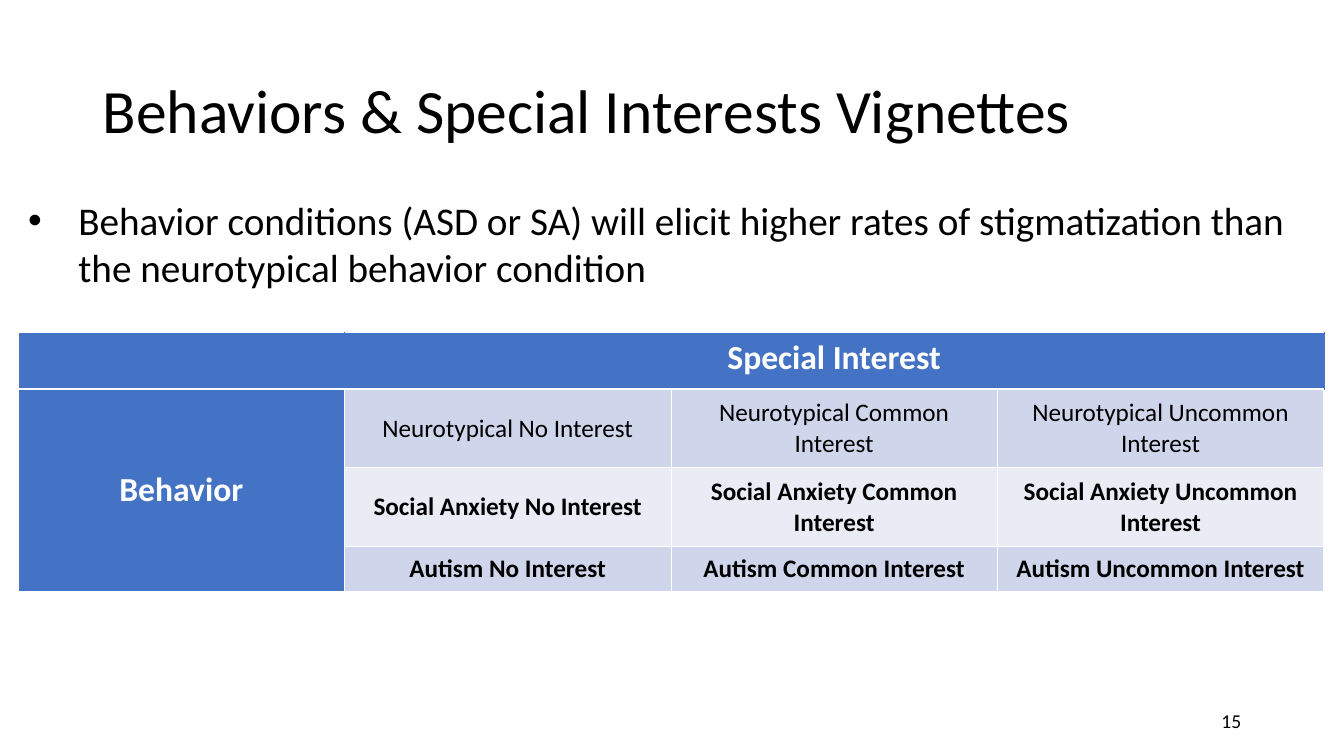
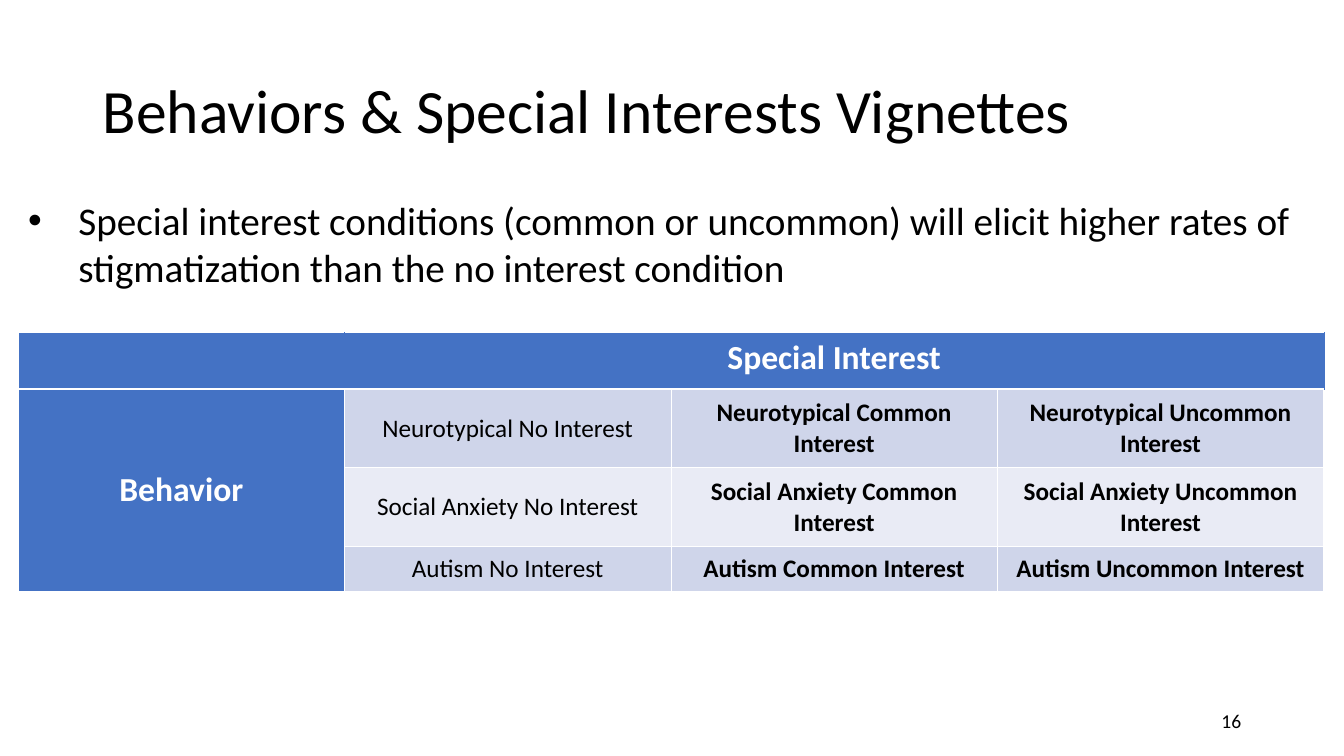
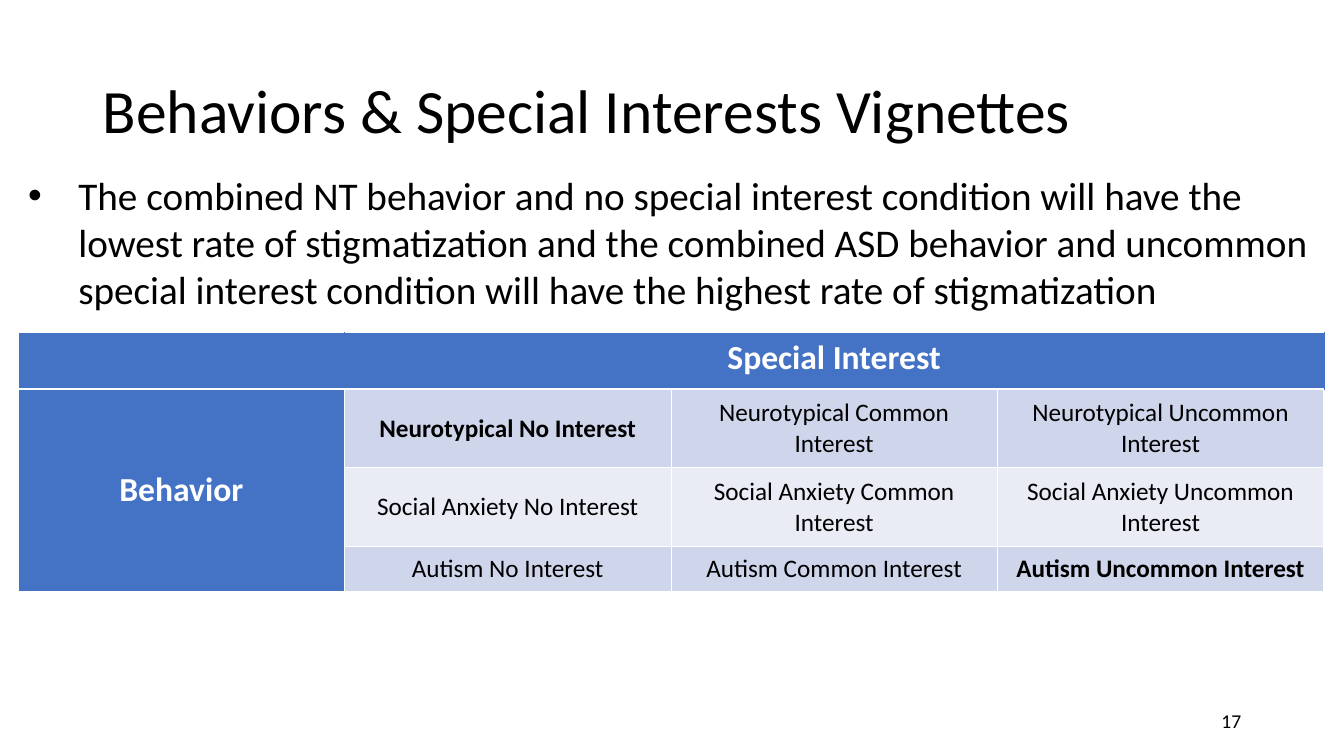
from lxml.etree import SubElement
from pptx import Presentation
from pptx.dml.color import RGBColor
from pptx.enum.text import MSO_ANCHOR as Anchor, MSO_AUTO_SIZE as AutoSize, PP_ALIGN as Align
from pptx.oxml.ns import qn
from pptx.util import Inches, Pt

COLORS = {
    "text": "000000",
    "white": "FFFFFF",
    "header": "4472C4",
    "band_dark": "CFD5EA",
    "band_light": "E9EBF5",
}
FONT = "Calibri"
TITLE = "Behaviors & Special Interests Vignettes"
FIRST_PAGE = 15
BEHAVIORS = ["Neurotypical", "Social Anxiety", "Autism"]
INTERESTS = ["No Interest", "Common Interest", "Uncommon Interest"]
ROW_HEIGHTS = [0.56, 0.78, 0.78, 0.45]
COLUMN_WIDTH = 3.24
LEFT = 0.18
THIN, THICK, SEAM = 0.45, 1.47, 0.11

HYPOTHESES = [
    (
        "Behavior conditions (ASD or SA) will elicit higher rates of stigmatization "
        "than the neurotypical behavior condition",
        1.9,
        1.04,
        lambda behavior, interest: behavior != "Neurotypical",
    ),
    (
        "Special interest conditions (common or uncommon) will elicit higher rates of "
        "stigmatization than the no interest condition",
        1.9,
        1.04,
        lambda behavior, interest: interest != "No Interest",
    ),
    (
        "The combined NT behavior and no special interest condition will have the lowest "
        "rate of stigmatization and the combined ASD behavior and uncommon special "
        "interest condition will have the highest rate of stigmatization",
        1.65,
        1.5,
        lambda behavior, interest: (behavior, interest)
        in [("Neurotypical", "No Interest"), ("Autism", "Uncommon Interest")],
    ),
]


class VignetteDeck:
    def __init__(self):
        self.deck = Presentation()
        self.deck.slide_width = Inches(13.34)
        self.deck.slide_height = Inches(7.5)
        self.page = None

    def add_page(self, title):
        self.page = self.deck.slides.add_slide(self.deck.slide_layouts[5])
        box = self.page.shapes.title
        box.left, box.top = Inches(0.92), Inches(0.4)
        box.width, box.height = Inches(11.5), Inches(1.45)
        frame = box.text_frame
        frame.vertical_anchor = Anchor.MIDDLE
        frame.auto_size = AutoSize.NONE
        para = self.set_text(frame, title, 44)
        para.line_spacing = 0.9

    def set_text(self, frame, text, size, color="text", bold=False, align=Align.LEFT):
        para = frame.paragraphs[0]
        para.text = text
        para.alignment = align
        para.font.name = FONT
        para.font.size = Pt(size)
        para.font.bold = bold
        para.font.color.rgb = RGBColor.from_string(COLORS[color])
        return para

    def text_box(self, left, top, width, height):
        box = self.page.shapes.add_textbox(
            Inches(left), Inches(top), Inches(width), Inches(height)
        )
        box.text_frame.word_wrap = True
        return box.text_frame

    def bullet(self, text, top, height):
        frame = self.text_box(LEFT, top, 4 * COLUMN_WIDTH, height)
        frame.auto_size = AutoSize.SHAPE_TO_FIT_TEXT
        para = self.set_text(frame, text, 28)
        properties = para._p.get_or_add_pPr()
        properties.set("marL", str(Inches(0.5)))
        properties.set("indent", str(-Inches(0.5)))
        bullet_color = SubElement(properties, qn("a:buClr"))
        SubElement(bullet_color, qn("a:srgbClr"), val=COLORS["text"])
        SubElement(properties, qn("a:buFont"), typeface="Arial")
        SubElement(properties, qn("a:buChar"), char="•")
        properties.append(properties.find(qn("a:defRPr")))

    def page_number(self, number):
        frame = self.text_box(9.42, 6.95, 3, 0.4)
        frame.vertical_anchor = Anchor.MIDDLE
        self.set_text(frame, str(number), 14, align=Align.RIGHT)

    def style_cell(self, cell, row, column):
        header = row == 0 or column == 0
        band = "band_dark" if row % 2 else "band_light"
        borders = {side: ("white", THIN) for side in ("lnL", "lnR", "lnT", "lnB")}
        if row == 0:
            borders["lnB"] = ("white", THICK)
            if column < 3:
                borders["lnR"] = ("header", SEAM)
            if column > 0:
                borders["lnL"] = ("header", SEAM)
        elif row == 1:
            borders["lnT"] = ("white", THICK)
        properties = cell._tc.get_or_add_tcPr()
        for side, (color, width) in borders.items():
            line = SubElement(properties, qn("a:" + side), w=str(Pt(width)))
            fill = SubElement(line, qn("a:solidFill"))
            SubElement(fill, qn("a:srgbClr"), val=COLORS[color])
        cell.fill.solid()
        cell.fill.fore_color.rgb = RGBColor.from_string(COLORS["header" if header else band])
        cell.vertical_anchor = Anchor.TOP if row == 0 else Anchor.MIDDLE

    def condition_table(self, is_bold):
        table = self.page.shapes.add_table(
            4, 4, Inches(LEFT), Inches(3.3), Inches(4 * COLUMN_WIDTH), Inches(sum(ROW_HEIGHTS))
        ).table
        table.first_row = table.horz_banding = False
        for column in table.columns:
            column.width = Inches(COLUMN_WIDTH)
        for row, height in zip(table.rows, ROW_HEIGHTS):
            row.height = Inches(height)
        for row in range(4):
            for column in range(4):
                self.style_cell(table.cell(row, column), row, column)
        table.cell(0, 1).merge(table.cell(0, 3))
        table.cell(1, 0).merge(table.cell(3, 0))
        for row, column, text in [(0, 1, "Special Interest"), (1, 0, "Behavior")]:
            frame = table.cell(row, column).text_frame
            self.set_text(frame, text, 24, "white", True, Align.CENTER)
        for row, behavior in enumerate(BEHAVIORS, 1):
            for column, interest in enumerate(INTERESTS, 1):
                self.set_text(
                    table.cell(row, column).text_frame,
                    f"{behavior} {interest}",
                    18,
                    bold=is_bold(behavior, interest),
                    align=Align.CENTER,
                )


def main():
    slides = VignetteDeck()
    for number, (text, top, height, is_bold) in enumerate(HYPOTHESES, FIRST_PAGE):
        slides.add_page(TITLE)
        slides.condition_table(is_bold)
        slides.page_number(number)
        slides.bullet(text, top, height)
    slides.deck.save("out.pptx")


if __name__ == "__main__":
    main()
